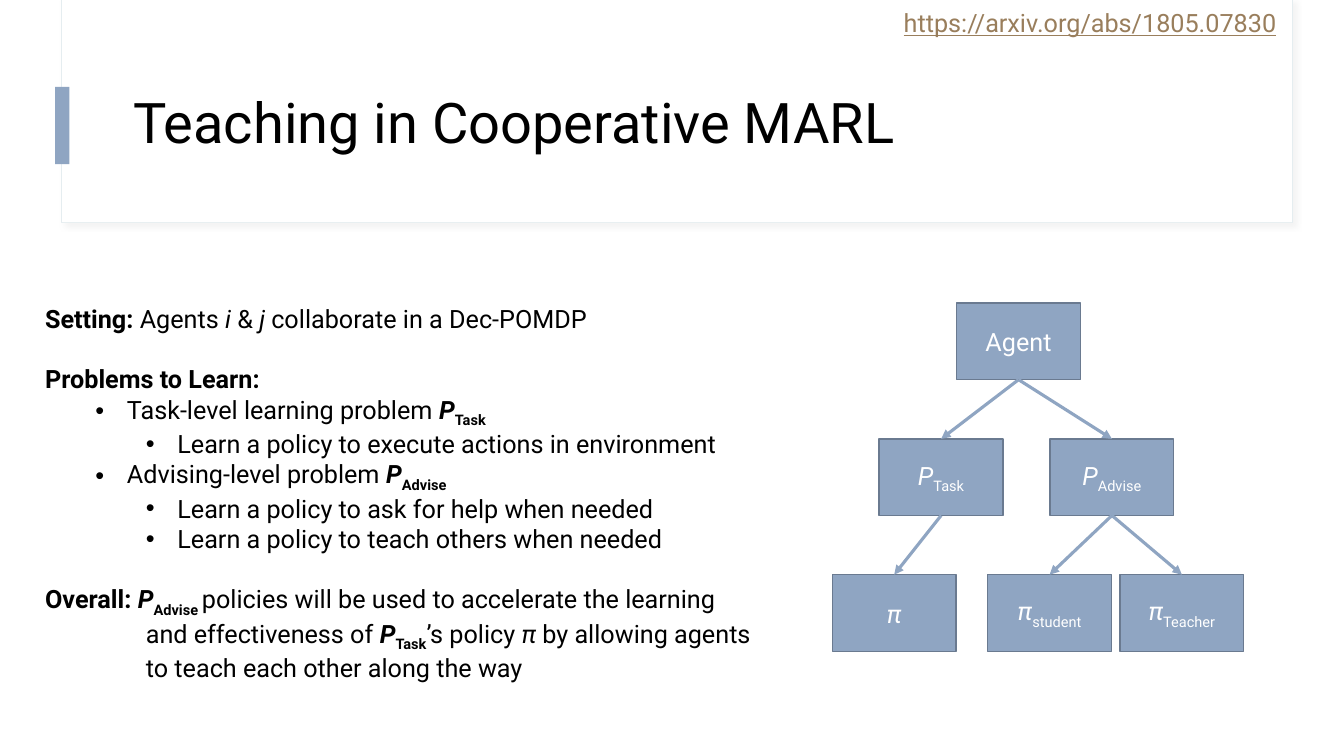
import dataclasses

import lxml.etree
import pptx
import pptx.dml.color
import pptx.enum.shapes
import pptx.enum.text
import pptx.oxml
import pptx.oxml.ns
import pptx.util

Pt = pptx.util.Pt
ALIGN = pptx.enum.text.PP_ALIGN
ANCHOR = pptx.enum.text.MSO_ANCHOR
BOTTOM, TOP = 2, 0


@dataclasses.dataclass(frozen=True)
class Theme:
    font: str = "Roboto"
    title_size: float = 40
    text_size: float = 18
    black: str = "000000"
    white: str = "FFFFFF"
    accent: str = "8FA5C2"
    box_line: str = "6A7A90"
    frame_line: str = "E5EDF0"
    shadow: str = "D9D9D9"
    link: str = "997E5C"


# Run styles: bold, italic, underline, subscript
PLAIN = {}
BOLD = {"bold": True}
ITALIC = {"italic": True}
BOLD_ITALIC = {"bold": True, "italic": True}
SUB = {"subscript": True}
BOLD_SUB = {"bold": True, "subscript": True}


def set_attributes(target, values):
    for name, value in values.items():
        setattr(target, name, value)


def add_xml(parent, tag, **attributes):
    child = lxml.etree.SubElement(parent, pptx.oxml.ns.qn(tag))
    for name, value in attributes.items():
        child.set(name, str(value))
    return child


class SlideBuilder:
    def __init__(self, slide, theme):
        self.slide = slide
        self.theme = theme

    def color(self, value):
        return pptx.dml.color.RGBColor.from_string(value)

    def add_runs(self, paragraph, runs, size, color):
        for text, style in runs:
            for index, line in enumerate(text.split("\n")):
                if index:
                    paragraph.add_line_break()
                run = paragraph.add_run()
                run.text = line
                values = {"name": self.theme.font, "size": Pt(size), "bold": False, "italic": False}
                values.update(style)
                if values.pop("subscript", False):
                    run._r.get_or_add_rPr().set("baseline", "-25000")
                set_attributes(run.font, values)
                run.font.color.rgb = self.color(color)

    def place(self, shape, left, top, width, height):
        set_attributes(shape, {"left": Pt(left), "top": Pt(top),
                               "width": Pt(width), "height": Pt(height)})

    def title(self, text, bounds):
        shape = self.slide.shapes.title
        self.place(shape, *bounds)
        self.slide.shapes._spTree.append(shape._element)  # bring in front of the frame
        set_attributes(shape.text_frame, {"vertical_anchor": ANCHOR.MIDDLE, "word_wrap": True,
                                          "auto_size": pptx.enum.text.MSO_AUTO_SIZE.NONE})
        paragraph = shape.text_frame.paragraphs[0]
        set_attributes(paragraph, {"alignment": ALIGN.LEFT, "line_spacing": 0.9})
        self.add_runs(paragraph, [(text, PLAIN)], self.theme.title_size, self.theme.black)

    def body(self, items, bounds):
        """Each item holds level, left margin, first-line indent, space before and runs."""
        shape = self.slide.placeholders[1]
        self.place(shape, *bounds)
        frame = shape.text_frame
        set_attributes(frame, {"vertical_anchor": ANCHOR.TOP, "word_wrap": True,
                               "auto_size": pptx.enum.text.MSO_AUTO_SIZE.NONE})
        for index, (level, margin, indent, space, runs) in enumerate(items):
            paragraph = frame.add_paragraph() if index else frame.paragraphs[0]
            properties = paragraph._p.get_or_add_pPr()
            properties.set("marL", str(Pt(margin)))
            properties.set("indent", str(Pt(indent)))
            if level:
                add_xml(properties, "a:buFont", typeface="Arial")
                add_xml(properties, "a:buChar", char="•")
            else:
                add_xml(properties, "a:buNone")
            set_attributes(paragraph, {"level": level, "alignment": ALIGN.LEFT,
                                       "space_before": Pt(space), "space_after": Pt(0)})
            self.add_runs(paragraph, runs, self.theme.text_size, self.theme.black)

    def label(self, text, bounds):
        frame = self.slide.shapes.add_textbox(*map(Pt, bounds)).text_frame
        frame.word_wrap = True
        frame.paragraphs[0].alignment = ALIGN.RIGHT
        self.add_runs(frame.paragraphs[0], [(text, {"underline": True})],
                      self.theme.text_size, self.theme.link)

    def rectangle(self, bounds, fill, line=None, line_width=1):
        shape = self.slide.shapes.add_shape(
            pptx.enum.shapes.MSO_SHAPE.RECTANGLE, *map(Pt, bounds))
        shape.shadow.inherit = False
        shape.fill.solid()
        shape.fill.fore_color.rgb = self.color(fill)
        if line:
            shape.line.color.rgb = self.color(line)
            shape.line.width = Pt(line_width)
        else:
            shape.line.fill.background()
        return shape

    def soft_shadow(self, shape):
        effects = shape._element.spPr.find(pptx.oxml.ns.qn("a:effectLst"))
        shadow = add_xml(effects, "a:outerShdw", blurRad=Pt(4), dist=Pt(3),
                         dir=45 * 60000, algn="tl", rotWithShape=0)
        color = add_xml(shadow, "a:srgbClr", val=self.theme.shadow)
        add_xml(color, "a:alpha", val=30000)

    def node(self, bounds, runs):
        shape = self.rectangle(bounds, self.theme.accent, self.theme.box_line)
        set_attributes(shape.text_frame, {"vertical_anchor": ANCHOR.MIDDLE, "word_wrap": True})
        paragraph = shape.text_frame.paragraphs[0]
        paragraph.alignment = ALIGN.CENTER
        self.add_runs(paragraph, runs, self.theme.text_size, self.theme.white)
        return shape

    def arrow(self, parent, child):
        connector = self.slide.shapes.add_connector(
            pptx.enum.shapes.MSO_CONNECTOR.STRAIGHT, 0, 0, 0, 0)
        connector.begin_connect(parent, BOTTOM)
        connector.end_connect(child, TOP)
        connector.line.color.rgb = self.color(self.theme.accent)
        connector.line.width = Pt(2.25)
        add_xml(connector.line._get_or_add_ln(), "a:tailEnd", type="triangle")
        add_xml(connector._element.spPr, "a:effectLst")


def main():
    presentation = pptx.Presentation()
    presentation.slide_width, presentation.slide_height = Pt(960), Pt(540)
    slide = presentation.slides.add_slide(presentation.slide_layouts[1])
    theme = Theme()
    builder = SlideBuilder(slide, theme)

    # Header frame, accent bar, title and address
    frame = builder.rectangle((44, 0, 879, 159.3), theme.white, theme.frame_line, 0.75)
    builder.soft_shadow(frame)
    builder.rectangle((44.5, 0, 878.3, 158.7), theme.white)
    builder.rectangle((39.4, 62, 10.2, 55.2), theme.accent)
    builder.title("Teaching in Cooperative MARL", (88, 43, 800.5, 93))
    builder.label("https://arxiv.org/abs/1805.07830", (286.5, 2, 632.3, 29))

    # Body text
    heading = (0, 0, 0)
    bullet = (1, 58.5, -22.5, 0)
    sub_bullet = (2, 94.5, -22.5, 0)
    gap = 21.6
    builder.body([
        (*heading, 0, [("Setting:", BOLD), (" Agents ", PLAIN), ("i ", ITALIC), ("& ", PLAIN),
                       ("j", ITALIC), (" collaborate in a Dec-POMDP", PLAIN)]),
        (*heading, gap, [("Problems to Learn:", BOLD)]),
        (*bullet, [("Task-level learning problem ", PLAIN), ("P", BOLD_ITALIC),
                   ("Task", BOLD_SUB)]),
        (*sub_bullet, [("Learn a policy to execute actions in environment", PLAIN)]),
        (*bullet, [("Advising-level problem ", PLAIN), ("P", BOLD_ITALIC),
                   ("Advise", BOLD_SUB)]),
        (*sub_bullet, [("Learn a policy to ask for help when needed", PLAIN)]),
        (*sub_bullet, [("Learn a policy to teach others when needed", PLAIN)]),
        (0, 72, -72, gap, [
            ("Overall: ", BOLD), ("P", BOLD_ITALIC), ("Advise ", BOLD_SUB),
            ("policies will be used to accelerate the learning\nand effectiveness of ", PLAIN),
            ("P", BOLD_ITALIC), ("Task", BOLD_SUB), ("’s policy ", PLAIN), ("π ", ITALIC),
            ("by allowing agents\nto teach each other along the way", PLAIN)]),
    ], (25, 213, 534, 269))

    # Agent tree: name, row, left edge, symbol runs, parent
    tree = [
        ("agent", 0, 683.3, [("Agent", PLAIN)], None),
        ("task", 1, 628, [("P", ITALIC), ("Task", SUB)], "agent"),
        ("advise", 1, 750, [("P", ITALIC), ("Advise", SUB)], "agent"),
        ("policy", 2, 594.5, [("π", ITALIC)], "task"),
        ("student", 2, 705.5, [("π", ITALIC), ("student", SUB)], "advise"),
        ("teacher", 2, 800, [("π", ITALIC), ("Teacher", SUB)], "advise"),
    ]
    nodes = {name: builder.node((left, 216.5 + 97 * row, 88.5, 54.7), runs)
             for name, row, left, runs, parent in tree}
    for name, row, left, runs, parent in tree:
        if parent:
            builder.arrow(nodes[parent], nodes[name])

    presentation.save("out.pptx")


if __name__ == "__main__":
    main()
